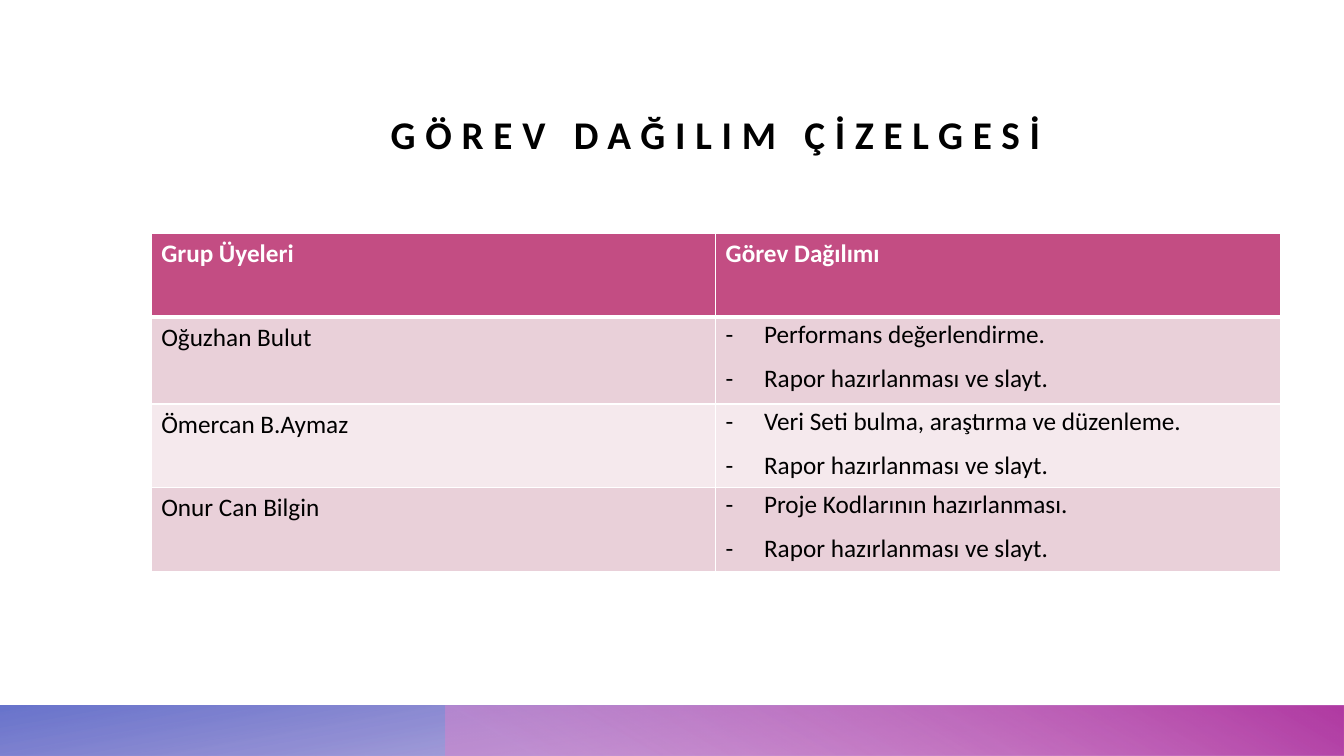
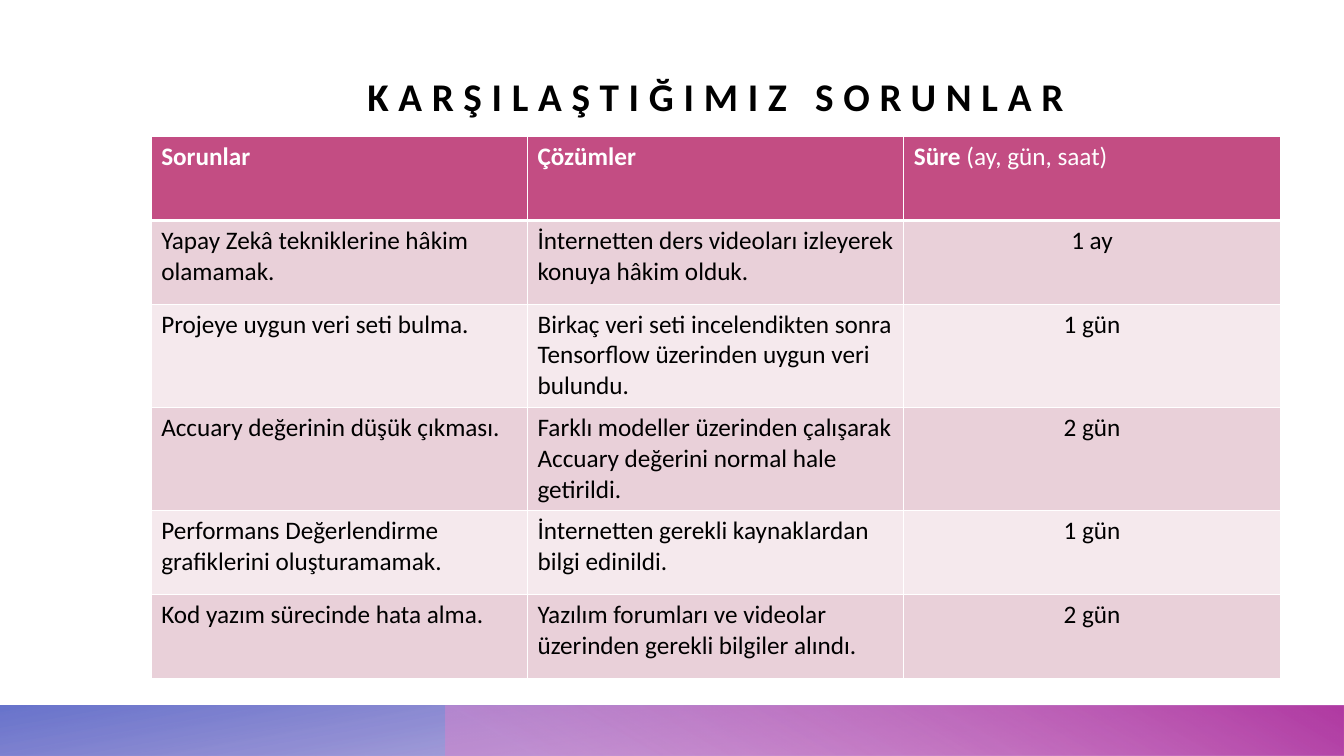
from lxml import etree
from pptx import Presentation
from pptx import util as u
from pptx.dml.color import RGBColor
from pptx.enum import shapes, text
from pptx.oxml.ns import qn

WIDTH, HEIGHT = u.Inches(13.33), u.Inches(7.5)


def color(hex_value):
    return RGBColor.from_string(hex_value)


def across(percent):
    return round(WIDTH * percent / 100)


def down(percent):
    return round(HEIGHT * percent / 100)


class Deck:
    FONT = "Calibri"
    BLACK, WHITE = "000000", "FFFFFF"
    HEADER, BANDS = "C34D83", ("E9D0D9", "F5E9ED")
    LEFT, SPAN = 11.25, 84
    FOOTER_TOP, FOOTER_SPLIT = 93.33, 33.15
    BLUE_STOPS = ((14, "5D3BB1", 28), (100, "4D5CC3", 85))
    PINK_STOPS = ((9, "D684CC", 55), (99, "B13BA3", 100))

    def __init__(self):
        self.presentation = Presentation()
        self.presentation.slide_width = WIDTH
        self.presentation.slide_height = HEIGHT
        self.slide = None

    def add_slide(self):
        self.slide = self.presentation.slides.add_slide(self.presentation.slide_layouts[6])
        self.gradient_band(0, self.BLUE_STOPS, 100, rotation=180)
        self.gradient_band(self.FOOTER_SPLIT, self.PINK_STOPS, 240)

    def gradient_band(self, left, stops, angle, rotation=0):
        shape = self.slide.shapes.add_shape(
            shapes.MSO_SHAPE.RECTANGLE, across(left), down(self.FOOTER_TOP),
            across(100 - left), down(100 - self.FOOTER_TOP))
        shape.shadow.inherit = False
        shape.line.fill.background()
        shape.rotation = rotation
        properties = shape._element.spPr
        properties.find(qn("a:xfrm")).set("flipH", "1")
        shape.fill.gradient()
        shape.fill.gradient_angle = 360 - angle
        for stop, (position, hex_value, _) in zip(shape.fill.gradient_stops, stops):
            stop.position = position / 100
            stop.color.rgb = color(hex_value)
        for node, (_, _, opacity) in zip(properties.iter(qn("a:srgbClr")), stops):
            etree.SubElement(node, qn("a:alpha"), val=str(opacity * 1000))

    def add_run(self, paragraph, words, size=18, hex_value=BLACK, bold=False):
        run = paragraph.add_run()
        run.text = words
        run.font.name = self.FONT
        run.font.size = u.Pt(size)
        run.font.bold = bold
        run.font.color.rgb = color(hex_value)
        return run

    def title(self, words, top, height):
        box = self.slide.shapes.add_textbox(
            across(self.LEFT), down(top), across(self.SPAN), down(height))
        frame = box.text_frame
        frame.word_wrap = True
        frame.vertical_anchor = text.MSO_ANCHOR.BOTTOM
        frame.margin_left = frame.margin_right = frame.margin_top = frame.margin_bottom = 0
        paragraph = frame.paragraphs[0]
        paragraph.alignment = text.PP_ALIGN.CENTER
        run = self.add_run(paragraph, words, size=28, bold=True)
        run.font._element.set("spc", "700")

    def table(self, top, row_heights, header, rows, centered=()):
        columns = len(header)
        table = self.slide.shapes.add_table(
            len(row_heights), columns, across(self.LEFT), down(top),
            across(self.SPAN), down(sum(row_heights))).table
        table.first_row = table.horz_banding = False
        for column in table.columns:
            column.width = across(self.SPAN / columns)
        for row, height in zip(table.rows, row_heights):
            row.height = down(height)
        for index, runs in enumerate(header):
            cell = table.cell(0, index)
            self.paint(cell, self.HEADER, bottom=3)
            for words, bold in runs:
                self.add_run(cell.text_frame.paragraphs[0], words, hex_value=self.WHITE, bold=bold)
        for number, row in enumerate(rows, 1):
            for index, content in enumerate(row):
                cell = table.cell(number, index)
                self.paint(cell, self.BANDS[(number - 1) % 2], top=3 if number == 1 else 1)
                if isinstance(content, list):
                    self.bullets(cell, content)
                    continue
                paragraph = cell.text_frame.paragraphs[0]
                if index in centered:
                    paragraph.alignment = text.PP_ALIGN.CENTER
                self.add_run(paragraph, content)

    def paint(self, cell, hex_value, top=1, bottom=1):
        cell.fill.solid()
        cell.fill.fore_color.rgb = color(hex_value)
        properties = cell._tc.get_or_add_tcPr()
        borders = (("a:lnL", 1), ("a:lnR", 1), ("a:lnT", top), ("a:lnB", bottom))
        for place, (tag, points) in enumerate(borders):
            line = etree.Element(qn(tag), w=str(u.Pt(points)))
            fill = etree.SubElement(line, qn("a:solidFill"))
            etree.SubElement(fill, qn("a:srgbClr"), val=self.WHITE)
            properties.insert(place, line)

    def bullets(self, cell, items):
        cell.margin_top = cell.margin_bottom = 0
        frame = cell.text_frame
        for index, item in enumerate(items):
            paragraph = frame.add_paragraph() if index else frame.paragraphs[0]
            paragraph.line_spacing = 1.07
            paragraph.space_after = u.Pt(8)
            properties = paragraph._p.get_or_add_pPr()
            indent = u.Inches(0.38)
            properties.set("marL", str(indent))
            properties.set("indent", str(-indent))
            etree.SubElement(properties, qn("a:buFont"), typeface=self.FONT)
            etree.SubElement(properties, qn("a:buChar"), char="-")
            self.add_run(paragraph, item)


def main():
    deck = Deck()
    report = "Rapor hazırlanması ve slayt."

    deck.add_slide()
    deck.title("GÖREV DAĞILIM ÇİZELGESİ", top=11.6, height=9.2)
    deck.table(
        30.9, [11.07, 11.47, 11.07, 11.07],
        [[("Grup Üyeleri", True)], [("Görev Dağılımı", True)]],
        [
            ("Oğuzhan Bulut", ["Performans değerlendirme.", report]),
            ("Ömercan B.Aymaz", ["Veri Seti bulma, araştırma ve düzenleme.", report]),
            ("Onur Can Bilgin", ["Proje Kodlarının hazırlanması.", report]),
        ])

    deck.add_slide()
    deck.title("KARŞILAŞTIĞIMIZ SORUNLAR", top=7.6, height=8.13)
    deck.table(
        18.1, [11.07, 11.07, 13.67, 13.67, 11.07, 11.07],
        [[("Sorunlar", True)], [("Çözümler", True)],
         [("Süre ", True), ("(ay, gün, saat)", False)]],
        [
            ("Yapay Zekâ tekniklerine hâkim olamamak.",
             "İnternetten ders videoları izleyerek konuya hâkim olduk.", "1 ay"),
            ("Projeye uygun veri seti bulma.",
             "Birkaç veri seti incelendikten sonra Tensorflow üzerinden uygun veri bulundu.",
             "1 gün"),
            ("Accuary değerinin düşük çıkması.",
             "Farklı modeller üzerinden çalışarak Accuary değerini normal hale getirildi.",
             "2 gün"),
            ("Performans Değerlendirme grafiklerini oluşturamamak.",
             "İnternetten gerekli kaynaklardan bilgi edinildi.", "1 gün"),
            ("Kod yazım sürecinde hata alma.",
             "Yazılım forumları ve videolar üzerinden gerekli bilgiler alındı.", "2 gün"),
        ],
        centered=(2,))

    deck.presentation.save("out.pptx")


if __name__ == "__main__":
    main()
